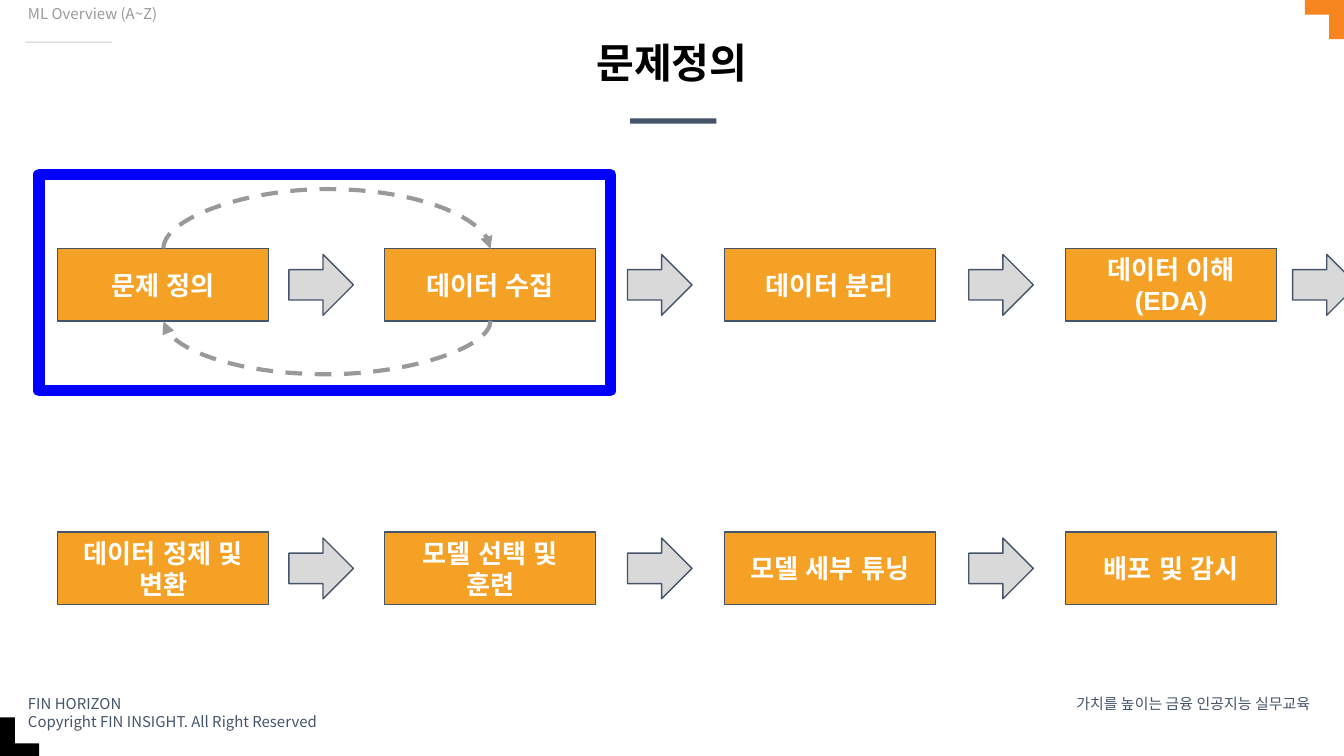
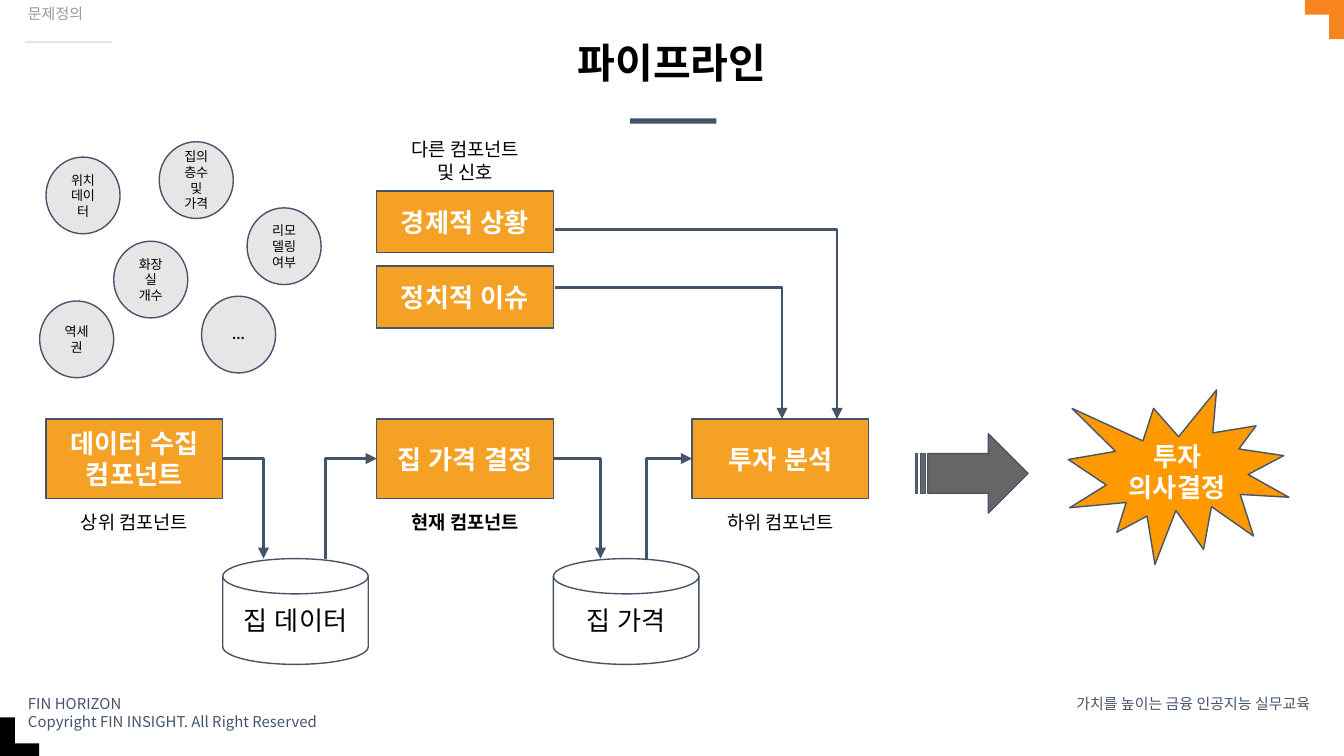
from lxml import etree
from pptx import Presentation
from pptx.dml.color import RGBColor
from pptx.enum.dml import MSO_LINE
from pptx.enum.shapes import MSO_CONNECTOR as Link, MSO_SHAPE as Preset
from pptx.enum.text import MSO_ANCHOR as Anchor, PP_ALIGN as Align
from pptx.oxml.ns import qn
from pptx.util import Cm, Pt

# Colours and fonts
NAVY = RGBColor(0x44, 0x54, 0x6A)
ORANGE = RGBColor(0xF5, 0xA1, 0x25)
CORNER_ORANGE = RGBColor(0xF6, 0x84, 0x1F)
BURST_ORANGE = RGBColor(0xFF, 0x99, 0x00)
BLUE = RGBColor(0x00, 0x00, 0xFF)
BLACK = RGBColor(0x00, 0x00, 0x00)
WHITE = RGBColor(0xFF, 0xFF, 0xFF)
GREY = RGBColor(0x99, 0x99, 0x99)
RULE_GREY = RGBColor(0xCC, 0xCC, 0xCC)
ARROW_GREY = RGBColor(0xD9, 0xD9, 0xD9)
CIRCLE_GREY = RGBColor(0xE7, 0xE6, 0xE6)
DARK_GREY = RGBColor(0x66, 0x66, 0x66)
SANS = "Noto Sans CJK KR"
ARIAL = "Arial"

# Process steps on the first slide
STEP_LEFTS = (1.09, 7.27, 13.69, 20.14)
STEP_W, STEP_H = 3.99, 1.37
ARROW_LEFTS = (5.46, 11.86, 18.31, 24.43)
ARROW_W, ARROW_H = 1.22, 1.15
STEP_ROWS = (
    (4.7, ("문제 정의", "데이터 수집", "데이터 분리", "데이터 이해\n(EDA)"), 4),
    (10.06, ("데이터 정제 및 변환", "모델 선택 및 훈련", "모델 세부 튜닝", "배포 및 감시"), 3),
)

# Pipeline on the second slide
PART_TOP, PART_W, PART_H = 7.92, 3.34, 1.5
PARTS = (
    (0.87, "데이터 수집 컴포넌트", "상위 컴포넌트", False),
    (7.12, "집 가격 결정", "현재 컴포넌트", True),
    (13.08, "투자 분석", "하위 컴포넌트", False),
)
STORE_TOP = 10.56
# label, left, x of the arrow in, x of the arrow out, left of the next part
STORES = (
    ("집 데이터", 4.21, 4.98, 6.15, 7.12),
    ("집 가격", 10.46, 11.35, 12.22, 13.08),
)
# label, top, height of the arrow's start, x of its end
SIGNALS = (("경제적 상황", 3.61, 4.34, 15.82), ("정치적 이슈", 5.03, 5.44, 14.78))
FEATURES = (
    ("화장실 개수", 2.15, 4.56),
    ("위치 데이터", 0.87, 2.97),
    ("집의 층수 및 가격", 3.01, 2.68),
    ("리모델링 여부", 4.67, 3.93),
    ("역세권", 0.75, 5.69),
    ("...", 3.81, 5.6),
)


def write(frame, text, size, color, font=SANS, bold=False, align=Align.CENTER,
          anchor=Anchor.TOP, insets=(0.25, 0.25), spacing=None):
    """Fill a text frame, one paragraph for each line of text."""
    frame.word_wrap = True
    frame.vertical_anchor = anchor
    frame.margin_left = frame.margin_right = Cm(insets[0])
    frame.margin_top = frame.margin_bottom = Cm(insets[1])
    for index, line in enumerate(text.split("\n")):
        para = frame.add_paragraph() if index else frame.paragraphs[0]
        para.alignment = align
        if spacing:
            para.line_spacing = spacing
        span = para.add_run()
        span.text = line
        span.font.size = Pt(size)
        span.font.bold = bold
        span.font.name = font
        span.font.color.rgb = color
        etree.SubElement(span.font._element, qn("a:ea"), typeface=font)


def add_text(page, area, text, size, color, **style):
    box = page.shapes.add_textbox(*map(Cm, area))
    write(box.text_frame, text, size, color, **style)


def add_block(page, preset, area, fill=None, line=NAVY, width=0.75, rotation=0):
    block = page.shapes.add_shape(preset, *map(Cm, area))
    block.shadow.inherit = False
    block.rotation = rotation
    if fill is None:
        block.fill.background()
    else:
        block.fill.solid()
        block.fill.fore_color.rgb = fill
    if line is None:
        block.line.fill.background()
    else:
        block.line.color.rgb = line
        block.line.width = Pt(width)
    return block


def add_label_block(page, preset, area, text, fill=ORANGE, size=14, color=WHITE,
                    font=ARIAL, bold=True):
    block = add_block(page, preset, area, fill)
    write(block.text_frame, text, size, color, font, bold, anchor=Anchor.MIDDLE)


def add_link(page, kind, start, end, bend, color, width):
    """Add a connector with an arrowhead; bend is its adjustment as a ratio."""
    link = page.shapes.add_connector(kind, *map(Cm, start + end))
    link.line.color.rgb = color
    link.line.width = Pt(width)
    properties = link._element.spPr
    geometry = properties.find(qn("a:prstGeom"))
    guides = geometry.find(qn("a:avLst"))
    if guides is None:
        guides = etree.SubElement(geometry, qn("a:avLst"))
    etree.SubElement(guides, qn("a:gd"), name="adj1", fmla=f"val {round(bend * 100000)}")
    etree.SubElement(properties, qn("a:effectLst"))
    return link


def add_arrowhead(link):
    etree.SubElement(link.line._get_or_add_ln(), qn("a:tailEnd"), type="triangle")


def add_elbow(page, start, end, bend):
    """Bend 1 runs across and then down, bend 0 up and then across."""
    add_arrowhead(add_link(page, Link.ELBOW, start, end, bend, NAVY, 1.5))


def add_arc(page, left, right, y, bulge, rotation, flip=False):
    """Dashed arc between two points at one height, drawn upright and then turned."""
    middle, half, thin = (left + right) / 2, (right - left) / 2, 0.01
    arc = add_link(page, Link.CURVE, (middle, y - half), (middle + thin, y + half),
                   bulge / thin, GREY, 2.25)
    arc.line.dash_style = MSO_LINE.DASH
    add_arrowhead(arc)
    turn = arc._element.spPr.find(qn("a:xfrm"))
    turn.set("rot", str(rotation * 60000))
    if flip:
        turn.set("flipH", "1")


def add_page(deck, title, section):
    """New page with the shared rules, corners, footers and titles."""
    page = deck.slides.add_slide(deck.slide_layouts[6])
    bar = (0.74, 0.28)
    for area, color, rotation in (
        ((11.91, 2.24, 1.63, 0.1), NAVY, 0),
        ((0.48, 0.79, 1.63, 0.02), RULE_GREY, 0),
        ((0, 14.05) + bar, BLACK, 180),
        ((-0.23, 13.79) + bar, BLACK, 90),
        ((24.66, 0) + bar, CORNER_ORANGE, 0),
        ((24.89, 0.23) + bar, CORNER_ORANGE, 270),
    ):
        add_block(page, Preset.RECTANGLE, area, color, None, rotation=rotation)
    slim = (0.25, 0.13)
    add_text(page, (0.28, 13, 7.57, 0.69),
             "FIN HORIZON\nCopyright FIN INSIGHT. All Right Reserved",
             8, NAVY, align=Align.LEFT, insets=slim)
    add_text(page, (19.71, 13, 5.31, 0.43), "가치를 높이는 금융 인공지능 실무교육",
             8, NAVY, align=Align.RIGHT, insets=slim)
    add_text(page, (2.77, 0.76, 19.86, 1.02), title, 22, BLACK, bold=True,
             insets=(0.1, 0.05), spacing=0.9)
    add_text(page, (0.28, 0, 7.21, 1.02), section, 8, GREY, align=Align.LEFT,
             insets=slim, spacing=0.9)
    return page


def build_problem_page(deck):
    page = add_page(deck, "문제정의", "ML Overview (A~Z)")
    # Two rows of steps with arrows between them
    for top, steps, arrow_count in STEP_ROWS:
        for left, step in zip(STEP_LEFTS, steps):
            add_label_block(page, Preset.RECTANGLE, (left, top, STEP_W, STEP_H), step)
        arrow_top = top + (STEP_H - ARROW_H) / 2
        for left in ARROW_LEFTS[:arrow_count]:
            add_block(page, Preset.RIGHT_ARROW, (left, arrow_top, ARROW_W, ARROW_H), ARROW_GREY)
    # Loop between the first two steps
    first, second = (left + STEP_W / 2 for left in STEP_LEFTS[:2])
    top = STEP_ROWS[0][0]
    add_arc(page, first, second, top + STEP_H, 1.01, 90)
    add_arc(page, first, second, top, -1.12, 270, flip=True)
    add_block(page, Preset.RECTANGLE, (0.74, 3.3, 10.8, 4.09), None, BLUE, 6)


def build_pipeline_page(deck):
    page = add_page(deck, "파이프라인", "문제정의")
    # House features
    for text, left, top in FEATURES:
        add_label_block(page, Preset.OVAL, (left, top, 1.4, 1.45), text, CIRCLE_GREY,
                        7, BLACK, SANS, bold=text == "...")
    # Components and their captions
    for left, text, caption, current in PARTS:
        add_label_block(page, Preset.RECTANGLE, (left, PART_TOP, PART_W, PART_H), text)
        add_text(page, (left + 0.07, 9.44, 3.2, 0.66), caption, 10, BLACK, bold=current)
    # Data stores between the components
    part_middle = PART_TOP + PART_H / 2
    for text, left, x_in, x_out, next_left in STORES:
        add_label_block(page, Preset.FLOWCHART_MAGNETIC_DISK, (left, STORE_TOP, 2.75, 2),
                        text, None, color=BLACK, bold=False)
        add_elbow(page, (left, part_middle), (x_in, STORE_TOP), 1)
        add_elbow(page, (x_out, STORE_TOP), (next_left, part_middle), 0)
    # Outside signals
    add_text(page, (7.19, 2.36, 3.2, 0.66), "다른 컴포넌트\n및 신호", 10, BLACK)
    for text, top, start_y, end_x in SIGNALS:
        add_label_block(page, Preset.RECTANGLE, (7.12, top, PART_W, 1.17), text)
        add_elbow(page, (10.49, start_y), (end_x, PART_TOP), 1)
    # Decision
    add_block(page, Preset.STRIPED_RIGHT_ARROW, (17.3, 8.2, 2.13, 1.5), DARK_GREY)
    add_label_block(page, Preset.EXPLOSION1, (20.19, 7.37, 4.17, 3.3),
                    "투자 의사결정", BURST_ORANGE)


def main():
    deck = Presentation()
    deck.slide_width, deck.slide_height = Cm(25.4), Cm(14.29)
    build_problem_page(deck)
    build_pipeline_page(deck)
    deck.save("out.pptx")


if __name__ == "__main__":
    main()
